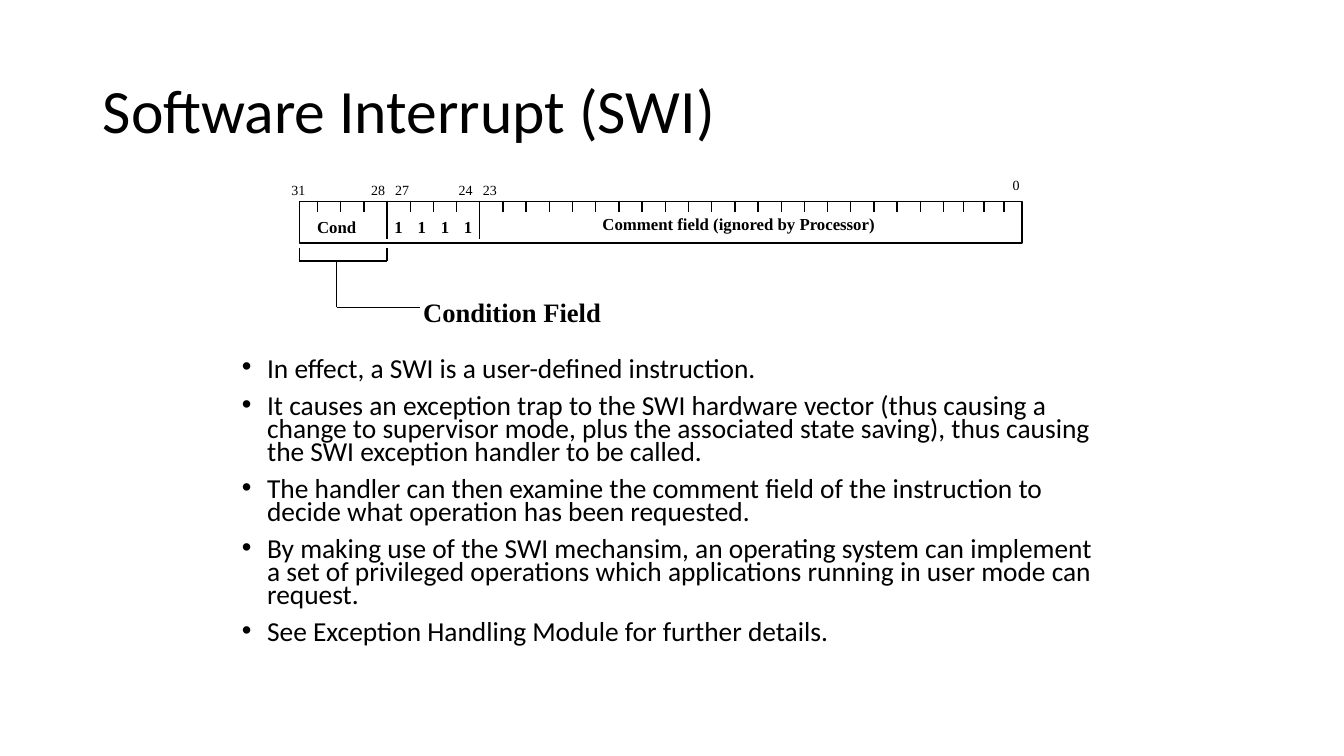
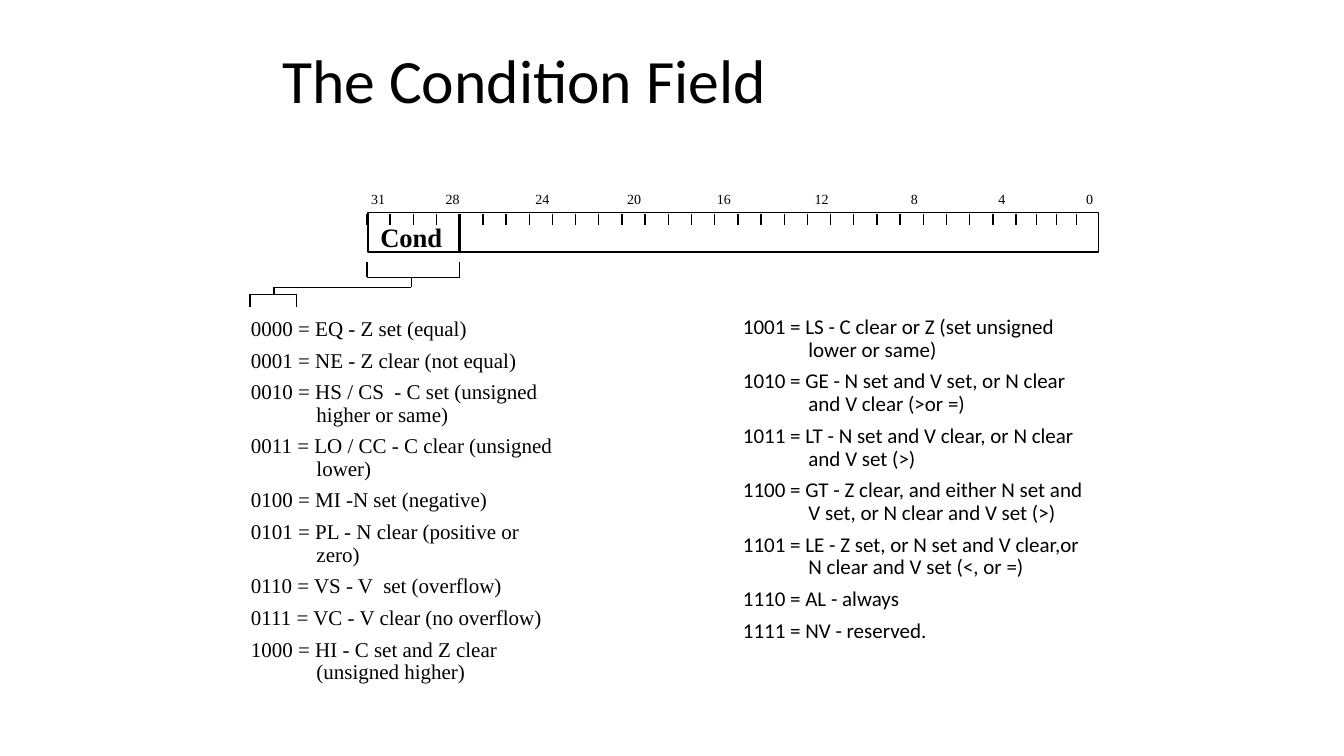
import pptx
import pptx.dml.color
import pptx.enum.shapes
import pptx.enum.text
import pptx.oxml
import pptx.oxml.ns
import pptx.util
from dataclasses import dataclass
from itertools import pairwise


@dataclass(frozen=True)
class Theme:
    ink: str = "000000"
    sans: str = "Calibri"
    serif: str = "Times New Roman"
    title: float = 44
    body: float = 19.6
    heading: float = 19
    code: float = 15
    field: float = 12
    bit: float = 10


THEME = Theme()
COLUMNS, ROWS = 133.33, 75  # one grid cell is a tenth of an inch
BIT = 2.3                   # columns per bit of the register
LOW_BIT = 2                 # narrower columns for the lowest bits
WIDE_BITS = 28
SMALL_INSET = (0.7, 0.3)

SWI_POINTS = [
    "In effect, a SWI is a user-defined instruction.",
    "It causes an exception trap to the SWI hardware vector (thus causing a change to "
    "supervisor mode, plus the associated state saving), thus causing the SWI exception "
    "handler to be called.",
    "The handler can then examine the comment field of the instruction to decide what "
    "operation has been requested.",
    "By making use of the SWI mechansim, an operating system can implement a set of "
    "privileged operations which applications running in user mode can request.",
    "See Exception Handling Module for further details.",
]
LOW_CONDITIONS = [
    "0000 = EQ - Z set (equal)",
    "0001 = NE - Z clear (not equal)",
    "0010 = HS / CS  - C set (unsigned higher or same)",
    "0011 = LO / CC - C clear (unsigned lower)",
    "0100 = MI -N set (negative)",
    "0101 = PL - N clear (positive or zero)",
    "0110 = VS - V  set (overflow)",
    "0111 = VC - V clear (no overflow)",
    "1000 = HI - C set and Z clear (unsigned higher)",
]
HIGH_CONDITIONS = [
    "1001 = LS - C clear or Z (set unsigned lower or same)",
    "1010 = GE - N set and V set, or N clear and V clear (>or =)",
    "1011 = LT - N set and V clear, or N clear and V set (>)",
    "1100 = GT - Z clear, and either N set and V set, or N clear and V set (>)",
    "1101 = LE - Z set, or N set and V clear,or N clear and V set (<, or =)",
    "1110 = AL - always",
    "1111 = NV - reserved.",
]


def cells(*lengths):
    """Turn grid columns or rows into slide lengths."""
    return [pptx.util.Inches(n / 10) for n in lengths]


def color():
    return pptx.dml.color.RGBColor.from_string(THEME.ink)


def style(p, font, size, bold=False):
    for r in p.runs:
        r.font.name = font
        r.font.size = pptx.util.Pt(size)
        r.font.bold = bold
        r.font.color.rgb = color()


def place(sp, x, y, w, h):
    sp.left, sp.top, sp.width, sp.height = cells(x, y, w, h)


def set_inset(tf, across, down):
    tf.margin_left, tf.margin_right, tf.margin_top, tf.margin_bottom = cells(
        across, across, down, down)


def add_slide(prs, title, box):
    s = prs.slides.add_slide(prs.slide_layouts[1])
    place(s.shapes.title, *box)
    tf = s.shapes.title.text_frame
    tf.text = title
    tf.vertical_anchor = pptx.enum.text.MSO_ANCHOR.MIDDLE
    p = tf.paragraphs[0]
    p.alignment = pptx.enum.text.PP_ALIGN.LEFT
    p.line_spacing = 0.9
    style(p, THEME.sans, THEME.title)
    return s


def fill_list(sp, items, font, size, hang, spacing, gap, bullet=None):
    """Write hanging paragraphs, with a bullet character if one is given."""
    tf = sp.text_frame
    tf.word_wrap = True
    tf.auto_size = pptx.enum.text.MSO_AUTO_SIZE.NONE
    tf.text = "\n".join(items)
    for i, p in enumerate(tf.paragraphs):
        pPr = p._p.get_or_add_pPr()
        pPr.set("marL", str(cells(hang)[0]))
        pPr.set("indent", str(-cells(hang)[0]))
        bu = pptx.oxml.parse_xml(
            f"<a:{'buChar' if bullet else 'buNone'} {pptx.oxml.ns.nsdecls('a')}/>")
        if bullet:
            bu.set("char", bullet)
        pPr.append(bu)
        p.alignment = pptx.enum.text.PP_ALIGN.LEFT
        p.line_spacing = spacing
        p.space_before = pptx.util.Pt(gap if i else 0)
        style(p, font, size)


def label(s, text, x, y, w, size, bold=False):
    """Put one line of serif text, w columns wide, around the point x, y."""
    h = 3
    sp = s.shapes.add_textbox(*cells(x - w / 2, y - h / 2, w, h))
    tf = sp.text_frame
    set_inset(tf, 0, 0)
    tf.word_wrap = True
    tf.vertical_anchor = pptx.enum.text.MSO_ANCHOR.MIDDLE
    tf.text = text
    p = tf.paragraphs[0]
    p.alignment = pptx.enum.text.PP_ALIGN.CENTER
    style(p, THEME.serif, size, bold)


def path_lines(s, *points, weight=1):
    """Join the points, in order, with straight lines."""
    for start, end in pairwise(points):
        cn = s.shapes.add_connector(
            pptx.enum.shapes.MSO_CONNECTOR.STRAIGHT, *cells(*start, *end))
        cn.line.color.rgb = color()
        cn.line.width = pptx.util.Pt(weight)
        cn._element.spPr.append(
            pptx.oxml.parse_xml(f"<a:effectLst {pptx.oxml.ns.nsdecls('a')}/>"))


def bit_x(origin, n):
    """Column of the nth bit boundary, counted from the high end."""
    return origin + BIT * min(n, WIDE_BITS) + LOW_BIT * max(0, n - WIDE_BITS)


def register(s, box, origin, ticks, tick_top, dividers, divider_end, weight=1):
    """Draw a 32-bit word with ticks between bits and full-height dividers."""
    sp = s.shapes.add_shape(pptx.enum.shapes.MSO_SHAPE.RECTANGLE, *cells(*box))
    sp.shadow.inherit = False
    sp.fill.background()
    sp.line.color.rgb = color()
    sp.line.width = pptx.util.Pt(1)
    for n in ticks:
        x = bit_x(origin, n)
        if n in dividers:
            path_lines(s, (x, tick_top), (x, divider_end), weight=weight)
        else:
            path_lines(s, (x, tick_top), (x, tick_top + 1.15))


def bit_numbers(s, y, centres):
    for bit, x in centres.items():
        label(s, str(bit), x, y, 2.2, THEME.bit)


def swi_slide(prs):
    s = add_slide(prs, "Software Interrupt (SWI)", (9.2, 4, 115, 14.5))
    body = s.placeholders[1]
    place(body, 23, 35.2, 87.6, 31.6)
    fill_list(body, SWI_POINTS, THEME.sans, THEME.body, 2.5, 0.7, 10, "•")

    origin = 29.2
    register(s, (29.7, 20, 71.7, 4.1), origin, range(1, 32), 19.9, (4, 8), 23.7)
    bit_numbers(s, 18.8, {31: 29.6, 28: 37.5, 27: 39.9, 24: 46.2, 23: 48.6})
    bit_numbers(s, 18.3, {0: 100.8})
    label(s, "Cond", 33.4, 22.5, 7, THEME.field, True)
    for n in range(4, 8):
        label(s, "1", bit_x(origin, n + 0.5), 22.5, BIT, THEME.field, True)
    label(s, "Comment field (ignored by Processor)", 73.3, 22.2, 45, THEME.field, True)

    path_lines(s, (29.7, 24.6), (29.7, 25.9), (38.4, 25.9), (38.4, 24.6))
    path_lines(s, (33.4, 25.9), (33.4, 30.5), (41.7, 30.5))
    label(s, "Condition Field", 50.8, 30.9, 24, THEME.heading, True)


def condition_slide(prs):
    s = add_slide(prs, "The Condition Field", (27, 1.8, 79.3, 12.9))
    register(s, (36.5, 21.1, 72.5, 3.9), 36.4, range(32), 21.2, (4,), 25, weight=2)
    bit_numbers(s, 19.7, {31: 37.5, 28: 44.9, 24: 53.8, 20: 62.9, 16: 71.8,
                          12: 81.5, 8: 90.7, 4: 99.4, 0: 108.1})
    label(s, "Cond", 40.8, 23.5, 8, THEME.heading, True)

    path_lines(s, (36.4, 26), (36.4, 27.5), (45.6, 27.5), (45.6, 26))
    path_lines(s, (40.8, 27.5), (40.8, 28.5), (27.2, 28.5), (27.2, 29.2))
    path_lines(s, (24.8, 30.5), (24.8, 29.2), (29.4, 29.2), (29.4, 30.5))

    low = s.shapes.add_textbox(*cells(24.2, 31.3, 32.6, 38.8))
    set_inset(low.text_frame, *SMALL_INSET)
    fill_list(low, LOW_CONDITIONS, THEME.serif, THEME.code, 6.5, 0.89, 6.6)
    high = s.placeholders[1]
    place(high, 73, 31.1, 36.2, 34.4)
    set_inset(high.text_frame, *SMALL_INSET)
    fill_list(high, HIGH_CONDITIONS, THEME.sans, THEME.code, 6.5, 0.9, 6.4)


def main():
    prs = pptx.Presentation()
    prs.slide_width, prs.slide_height = cells(COLUMNS, ROWS)
    swi_slide(prs)
    condition_slide(prs)
    prs.save("out.pptx")


if __name__ == "__main__":
    main()
